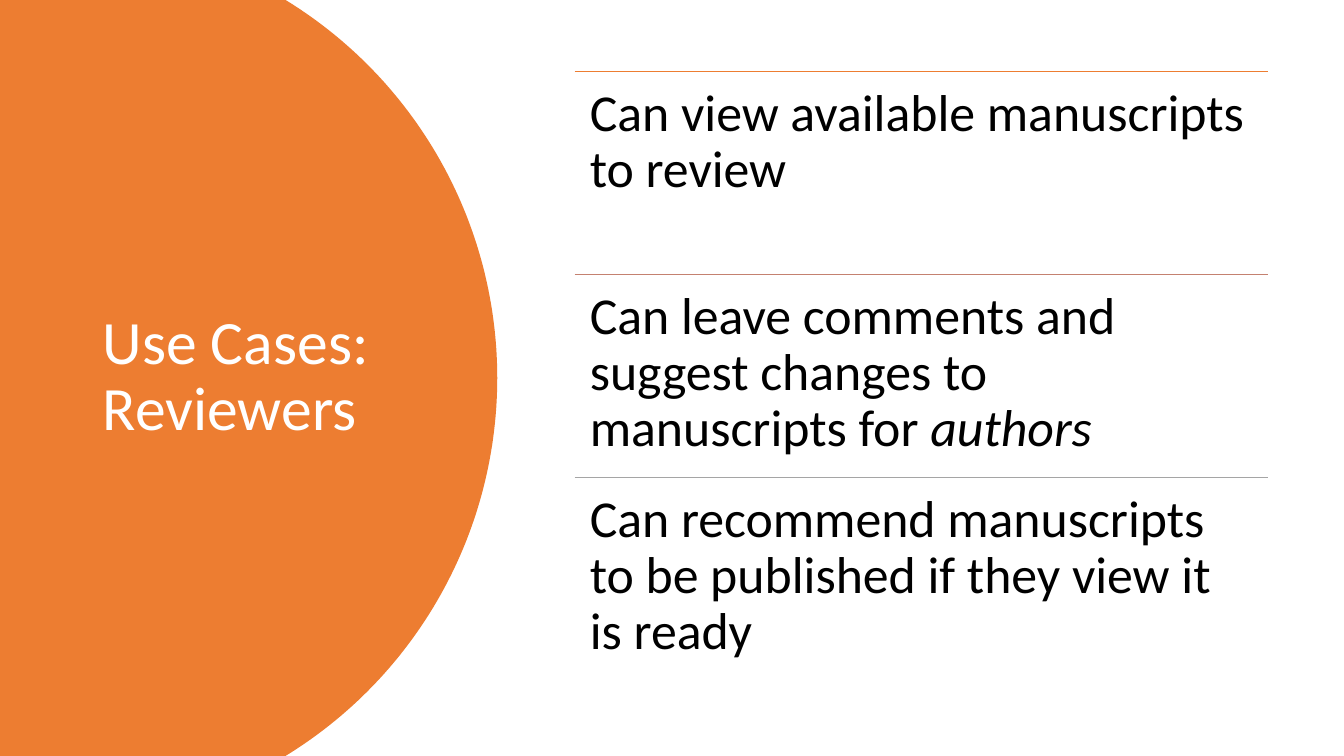
from dataclasses import dataclass
from math import asin, cos, sin

from lxml.etree import SubElement
from pptx import Presentation
from pptx.dml.color import RGBColor
from pptx.enum.shapes import MSO_CONNECTOR
from pptx.enum.text import MSO_ANCHOR, MSO_AUTO_SIZE, PP_ALIGN
from pptx.oxml.ns import qn
from pptx.util import Inches, Pt


@dataclass(frozen=True)
class Theme:
    font: str = "Calibri"
    accent: str = "ED7D31"
    title_ink: str = "FFFFFF"
    body_ink: str = "000000"
    rules: tuple = ("ED7D31", "C48170", "A5A5A5")
    title_size: float = 44
    body_size: float = 37
    rule_width: float = 1


THEME = Theme()
WIDTH, HEIGHT = 13.33, 7.5
USE_CASES = [
    [("Can view available manuscripts to review", False)],
    [("Can leave comments and suggest changes to manuscripts for ", False), ("authors", True)],
    [("Can recommend manuscripts to be published if they view it is ready", False)],
]


def write_text(frame, runs, *, size, color, inset, anchor):
    frame.word_wrap = True
    frame.auto_size = MSO_AUTO_SIZE.NONE
    frame.vertical_anchor = anchor
    frame.margin_left = frame.margin_right = Inches(inset[0])
    frame.margin_top = frame.margin_bottom = Inches(inset[1])
    paragraph = frame.paragraphs[0]
    paragraph.alignment = PP_ALIGN.LEFT
    paragraph.line_spacing = 0.9
    for words, italic in runs:
        run = paragraph.add_run()
        run.text = words
        run.font.name = THEME.font
        run.font.size = Pt(size)
        run.font.italic = italic
        run.font.color.rgb = RGBColor.from_string(color)


def add_rounded_panel(slide, left, top, width, height, bulge=2.1, steps=120):
    half = height / 2
    radius = (half ** 2 + bulge ** 2) / (2 * bulge)
    center = left + width - radius
    sweep = asin(half / radius)
    angles = [sweep * (2 * step / steps - 1) for step in range(steps + 1)]
    arc = [(center + radius * cos(a), top + half + radius * sin(a)) for a in angles]
    edge = [(Inches(x), Inches(y)) for x, y in arc + [(left, top + height)]]
    outline = slide.shapes.build_freeform(Inches(left), Inches(top))
    outline.add_line_segments(edge, close=True)
    panel = outline.convert_to_shape()
    panel.shadow.inherit = False
    panel.fill.solid()
    panel.fill.fore_color.rgb = RGBColor.from_string(THEME.accent)
    panel.line.fill.background()


def add_title(slide, left, top, width, height):
    title = slide.shapes.title
    title.left, title.top = Inches(left), Inches(top)
    title.width, title.height = Inches(width), Inches(height)
    write_text(title.text_frame, [("Use Cases: Reviewers", False)], size=THEME.title_size,
               color=THEME.title_ink, inset=(0.1, 0.05), anchor=MSO_ANCHOR.MIDDLE)
    slide.shapes._spTree.append(title._element)


def add_use_cases(slide, left, top, width, height):
    row_height = height / len(USE_CASES)
    for row, (runs, color) in enumerate(zip(USE_CASES, THEME.rules)):
        y = Inches(top + row * row_height)
        rule = slide.shapes.add_connector(
            MSO_CONNECTOR.STRAIGHT, Inches(left), y, Inches(left + width), y)
        rule.line.color.rgb = RGBColor.from_string(color)
        rule.line.width = Pt(THEME.rule_width)
        SubElement(rule._element.spPr, qn("a:effectLst"))
        use_case = slide.shapes.add_textbox(Inches(left), y, Inches(width), Inches(row_height))
        write_text(use_case.text_frame, runs, size=THEME.body_size, color=THEME.body_ink,
                   inset=(0.15, 0.15), anchor=MSO_ANCHOR.TOP)


def main():
    deck = Presentation()
    deck.slide_width, deck.slide_height = Inches(WIDTH), Inches(HEIGHT)
    slide = deck.slides.add_slide(deck.slide_layouts.get_by_name("Title Only"))
    add_rounded_panel(slide, 0, 0, 0.37 * WIDTH, HEIGHT)
    add_title(slide, 0.92, 0.7, 3.23, 6.09)
    add_use_cases(slide, 5.7, 0.71, 6.88, 6.04)
    deck.save("out.pptx")


if __name__ == "__main__":
    main()
